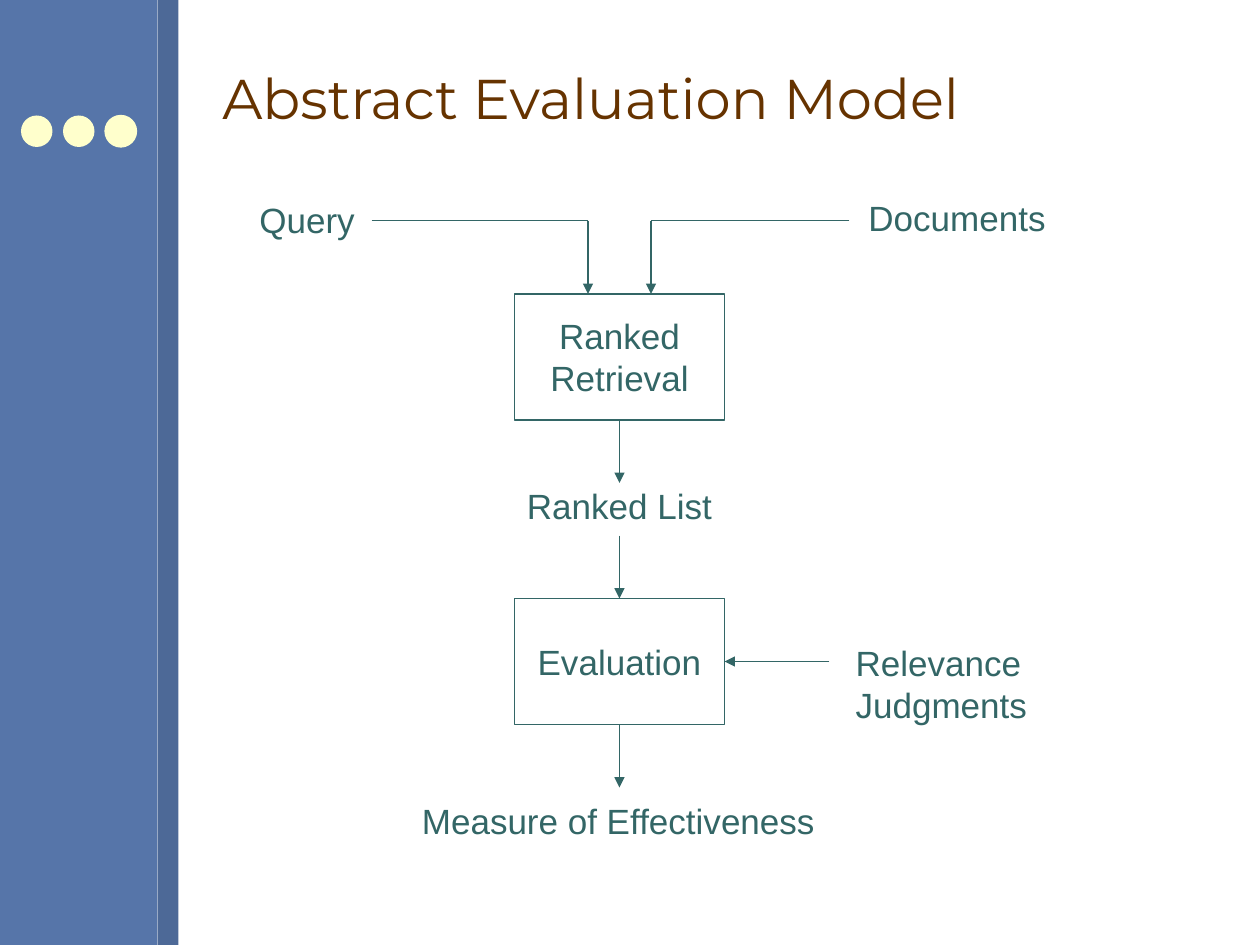
from lxml import etree
from pptx import Presentation
from pptx import util as u
from pptx.dml.color import RGBColor
from pptx.enum import shapes, text
from pptx.oxml import ns

BLUE = RGBColor(0x56, 0x75, 0xA9)
NAVY = RGBColor(0x4D, 0x69, 0x97)
CREAM = RGBColor(0xFF, 0xFF, 0xCC)
TEAL = RGBColor(0x33, 0x66, 0x66)
BROWN = RGBColor(0x66, 0x33, 0x00)
LEFT, MID = text.PP_ALIGN.LEFT, text.PP_ALIGN.CENTER

deck = Presentation()
deck.slide_width, deck.slide_height = u.Inches(10), u.Inches(7.5)
slide = deck.slides.add_slide(deck.slide_layouts[6])
parts = slide.shapes
unit = deck.slide_width / 120  # grid of 120 columns by 90 rows


def place(kind, *cells):
    """Add a shape, or a text box if kind is None, at grid cells."""
    box = [round(c * unit) for c in cells]
    if kind is None:
        return parts.add_textbox(*box)
    shape = parts.add_shape(kind, *box)
    shape.shadow.inherit = False
    shape.fill.background()
    shape.line.fill.background()
    return shape


def write(shape, words, align=MID, size=20, face="Arial", color=TEAL):
    frame = shape.text_frame
    frame.text = words
    frame.word_wrap = False
    for para in frame.paragraphs:
        para.alignment = align
        for run in para.runs:
            run.font.size = u.Pt(size)
            run.font.name = face
            run.font.color.rgb = color


# Side bars
RECT, OVAL = shapes.MSO_SHAPE.RECTANGLE, shapes.MSO_SHAPE.OVAL
for left, width, color in [(0, 15, BLUE), (15, 2, NAVY)]:
    bar = place(RECT, left, 0, width, 90)
    bar.fill.solid()
    bar.fill.fore_color.rgb = color

# Three dots, the last one outlined
for i in range(3):
    dot = place(OVAL, 2 + 4 * i, 11, 3, 3)
    dot.fill.solid()
    dot.fill.fore_color.rgb = CREAM
dot.line.color.rgb = CREAM
dot.line.width = u.Pt(0.75)

# Title
title = place(None, 20, 2.5, 96, 13.5)
write(title, "Abstract Evaluation Model", LEFT, 32, "Montserrat", BROWN)
title.text_frame.word_wrap = True
title.text_frame.vertical_anchor = text.MSO_ANCHOR.MIDDLE

# Process boxes
for top, words in [(28, "Ranked\nRetrieval"), (57, "Evaluation")]:
    box = place(RECT, 49, top, 20, 12)
    box.line.color.rgb = TEAL
    box.line.width = u.Pt(0.75)
    write(box, words)
    box.text_frame.vertical_anchor = text.MSO_ANCHOR.MIDDLE

# Inputs and outputs
labels = [
    ("Query", 23.5, 18.3, 11.5, MID),
    ("Documents", 81.5, 18.1, 19.3, MID),
    ("Ranked List", 49, 45.6, 20, MID),
    ("Relevance Judgments", 80.3, 60.5, 35.4, LEFT),
    ("Measure of Effectiveness", 39, 75.6, 39.8, LEFT),
]
for words, left, top, width, align in labels:
    write(place(None, left, top, width, 5.3), words, align)

# Flow lines: start, end, arrowhead at the end
flows = [
    (35.4, 21, 56, 21, False),
    (56, 21, 56, 28, True),
    (80.9, 21, 62, 21, False),
    (62, 21, 62, 28, True),
    (59, 40, 59, 46, True),
    (59, 51, 59, 57, True),
    (59, 69, 59, 75, True),
    (79, 63, 69, 63, True),
]
for *ends, head in flows:
    line = parts.add_connector(
        shapes.MSO_CONNECTOR.STRAIGHT, *[round(e * unit) for e in ends])
    line.line.color.rgb = TEAL
    line.line.width = u.Pt(0.75)
    if head:
        tip = etree.SubElement(line.line._get_or_add_ln(), ns.qn("a:tailEnd"))
        tip.set("type", "triangle")
    etree.SubElement(line._element.spPr, ns.qn("a:effectLst"))

deck.save("out.pptx")
